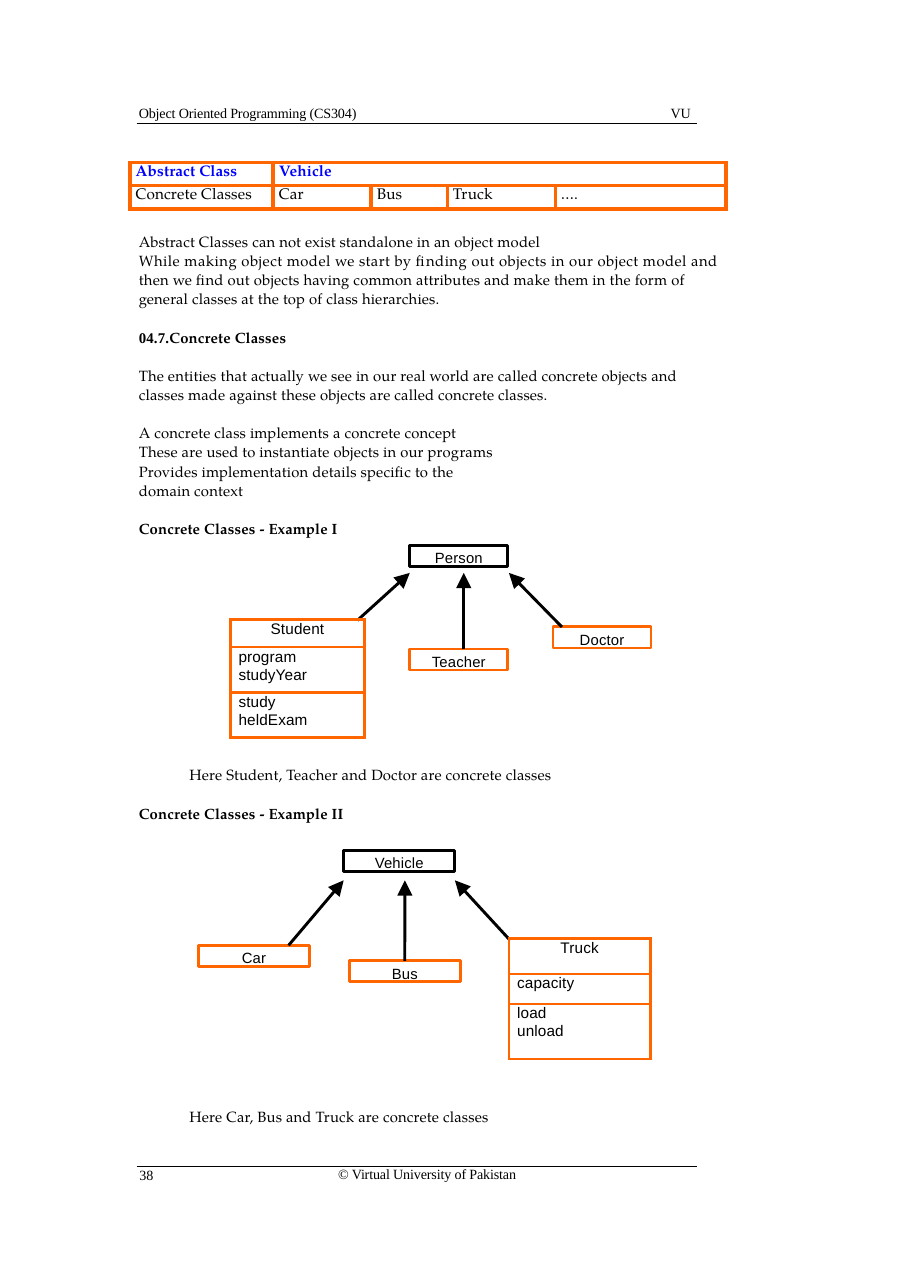
from lxml import etree
from pptx import Presentation
from pptx.dml.color import RGBColor
from pptx.enum.shapes import MSO_CONNECTOR, MSO_SHAPE
from pptx.enum.text import MSO_ANCHOR, PP_ALIGN
from pptx.oxml.ns import qn
from pptx.util import Pt

LEFT, CENTER = PP_ALIGN.LEFT, PP_ALIGN.CENTER
TOP = MSO_ANCHOR.TOP
STRAIGHT, RECT = MSO_CONNECTOR.STRAIGHT, MSO_SHAPE.RECTANGLE

COLORS = {"black": "000000", "blue": "0000FF", "border": "FF6500", "class": "FF6600"}
SERIF, SANS, TIMES = "TeX Gyre Pagella", "Arial", "Times New Roman"
PITCH = 12.5
LINE_WIDTH = 1.88

BODY = {"name": SERIF, "size": Pt(9.7)}
HEADING = {**BODY, "bold": True}
SMALL = {"name": TIMES, "size": Pt(9.2)}
CELL = {"name": SERIF, "size": Pt(10)}
CLASS_CELL = {"name": SANS, "size": Pt(10)}
CLASS_NAME = {"name": SANS, "size": Pt(9.7)}


def rgb(name):
    return RGBColor.from_string(COLORS[name])


def add_run(p, text, fmt, color="black", spacing=0.1):
    for i, line in enumerate(text.split("\n")):
        if i:
            p.add_line_break()
        r = p.add_run()
        r.text = line
        for key, value in fmt.items():
            setattr(r.font, key, value)
        r.font.color.rgb = rgb(color)
        r._r.get_or_add_rPr().set("spc", str(round(spacing * 100)))


def clear_margins(frame, left=0, top=0):
    margins = {"left": left, "top": top, "right": 0, "bottom": 0}
    for side, value in margins.items():
        setattr(frame, f"margin_{side}", Pt(value))
    frame.vertical_anchor = TOP


def add_text(s, x, y, w, paragraphs, pitch=PITCH):
    """Each paragraph is (space before, runs), and a run holds add_run arguments."""
    tf = s.shapes.add_textbox(Pt(x), Pt(y), Pt(w), Pt(PITCH)).text_frame
    tf.word_wrap = True
    clear_margins(tf)
    for i, (gap, runs) in enumerate(paragraphs):
        p = tf.add_paragraph() if i else tf.paragraphs[0]
        if pitch:
            p.line_spacing = Pt(pitch)
        if gap:
            p.space_before = Pt(gap)
        for run in runs:
            add_run(p, *run)


def add_line(s, x1, y1, x2, y2, width):
    c = s.shapes.add_connector(STRAIGHT, Pt(x1), Pt(y1), Pt(x2), Pt(y2))
    c.line.color.rgb = rgb("black")
    c.line.width = Pt(width)
    etree.SubElement(c._element.spPr, qn("a:effectLst"))
    return c


def add_arrow(s, x1, y1, x2, y2):
    c = add_line(s, x1, y1, x2, y2, 1.9)
    etree.SubElement(c.line._get_or_add_ln(), qn("a:tailEnd"),
                     type="triangle", w="lg", len="lg")
    return c


def set_borders(cell, color, width):
    tcPr = cell._tc.get_or_add_tcPr()
    for i, side in enumerate(("lnL", "lnR", "lnT", "lnB")):
        ln = etree.Element(qn(f"a:{side}"), w=str(Pt(width)))
        fill = etree.SubElement(ln, qn("a:solidFill"))
        etree.SubElement(fill, qn("a:srgbClr"), val=COLORS[color])
        tcPr.insert(i, ln)


def add_grid(s, x, y, widths, heights, border, border_width, margin):
    table = s.shapes.add_table(len(heights), len(widths), Pt(x), Pt(y),
                               Pt(sum(widths)), Pt(sum(heights))).table
    table.first_row = table.horz_banding = False
    for col, w in zip(table.columns, widths):
        col.width = Pt(w)
    for row, h in zip(table.rows, heights):
        row.height = Pt(h)
    for cell in table.iter_cells():
        clear_margins(cell, left=margin)
        cell.fill.background()
        set_borders(cell, border, border_width)
    return table


def fill_cell(cell, text, fmt, color="black", align=LEFT):
    p = cell.text_frame.paragraphs[0]
    p.alignment = align
    p.line_spacing = Pt(11.9)
    add_run(p, text, fmt, color)


def page_frame(s, x, y, w, h):
    """Running header and footer with their rules."""
    for dx, dy, width, text in (
        (1.4, -12.3, 200, "Object Oriented Programming (CS304)"),
        (349, -12.3, 20, "VU"),
        (1.9, h, 20, "38"),
        (131.7, h - 0.7, 150, "© Virtual University of Pakistan"),
    ):
        add_text(s, x + dx, y + dy, width, [(0, [(text, SMALL, "black", -0.1)])], None)
    for rule in (y, y + h):
        add_line(s, x, rule, x + w, rule, 0.66)


def summary_table(s, x, y):
    table = add_grid(s, x, y, (93.6, 64.1, 49.7, 70.6, 111.6), (15.1, 15.4),
                     "border", 2.82, 3.6)
    table.cell(0, 1).merge(table.cell(0, 4))
    for i, text in enumerate(("Abstract Class", "Vehicle")):
        fill_cell(table.cell(0, i), text, {**CELL, "bold": True}, "blue")
    for i, text in enumerate(("Concrete Classes", "Car", "Bus", "Truck", "….")):
        fill_cell(table.cell(1, i), text, CELL)


def class_box(s, x, y, w, name, color):
    sp = s.shapes.add_shape(RECT, Pt(x), Pt(y), Pt(w), Pt(13.8))
    sp.shadow.inherit = False
    sp.fill.background()
    sp.line.color.rgb = rgb(color)
    sp.line.width = Pt(LINE_WIDTH)
    tf = sp.text_frame
    tf.word_wrap = True
    clear_margins(tf, top=2.2)
    tf.paragraphs[0].alignment = CENTER
    add_run(tf.paragraphs[0], name, CLASS_NAME)
    return sp


def hierarchy(s, x, y, w, parent, drop, children, detail):
    """Offsets count from the parent's corner; a child without a start is joined."""
    class_box(s, x, y, w, parent, "black")
    for name, dx, dy, start, end in children:
        sp = class_box(s, x + dx, y + dy, w, name, "class")
        begin = dx + w / 2 if start is None else start
        arrow = add_arrow(s, x + begin, y + dy, x + end, y + drop)
        if start is None:
            arrow.begin_connect(sp, 0)
    start_x, start_y, end = detail["arrow"]
    add_arrow(s, x + start_x, y + start_y, x + end, y + drop)
    dx, dy = detail["at"]
    table = add_grid(s, x + dx, y + dy, (detail["width"],), detail["heights"],
                     "class", LINE_WIDTH, 5.4)
    table.cell(0, 0).margin_left = 0
    for i, text in enumerate(detail["rows"]):
        fill_cell(table.cell(i, 0), text, CLASS_CELL, align=LEFT if i else CENTER)


def body_text(s, x, y, w):
    add_text(s, x, y, w, [
        (0, [("Abstract Classes can not exist standalone in an object model", BODY)]),
        (0, [("While making object model we start by finding out objects in our "
              "object model and", BODY, "black", 0.3)]),
        (0, [("then we find out objects having common attributes and make them in the "
              "form of\ngeneral classes at the top of class hierarchies.", BODY)]),
        (PITCH, [("04.7.", {**HEADING, "name": TIMES}), ("Concrete Classes", HEADING)]),
        (PITCH, [("The entities that actually we see in our real world are called concrete "
                  "objects and\nclasses made against these objects are called concrete "
                  "classes.", BODY)]),
        (PITCH, [("A concrete class implements a concrete concept\nThese are used to "
                  "instantiate objects in our programs", BODY)]),
        (0, [("Provides implementation details specific to the\ndomain context", BODY)]),
        (PITCH, [("Concrete Classes - Example I", HEADING)]),
    ])


def main():
    prs = Presentation()
    prs.slide_width, prs.slide_height = Pt(594.72), Pt(841.68)
    s = prs.slides.add_slide(prs.slide_layouts[6])
    page_frame(s, 89.3, 80.7, 366.5, 681.8)
    summary_table(s, 85, 106.2)
    body_text(s, 90.7, 151.2, 400)
    hierarchy(s, 267.8, 356.4, 64.1, "Person", 18,
              [("Teacher", 0, 67.7, 35.3, 35.3), ("Doctor", 93.6, 53.3, 99.4, 64.8)],
              {"rows": ("Student", "program\nstudyYear", "study\nheldExam"),
               "at": (-117.3, 48.3), "width": 87.8, "heights": (18.2, 29.5, 29.5),
               "arrow": (-34.2, 49, 0)})
    add_text(s, 123.8, 499.7, 300,
             [(0, [("Here Student, Teacher and Doctor are concrete classes", BODY)])])
    add_text(s, 90.7, 525.2, 300, [(0, [("Concrete Classes - Example II", HEADING)])])
    hierarchy(s, 224.6, 555.8, 72.7, "Vehicle", 19.5,
              [("Car", -95, 62, -36, 0), ("Bus", 3.6, 72.1, None, 40)],
              {"rows": ("Truck", "capacity", "load\nunload"),
               "at": (108, 57.6), "width": 92.4, "heights": (23, 19.6, 36),
               "arrow": (108.8, 58.7, 72.7)})
    add_text(s, 123.8, 722.9, 300,
             [(0, [("Here Car, Bus and Truck are concrete classes", BODY)])])
    prs.save("out.pptx")


if __name__ == "__main__":
    main()
